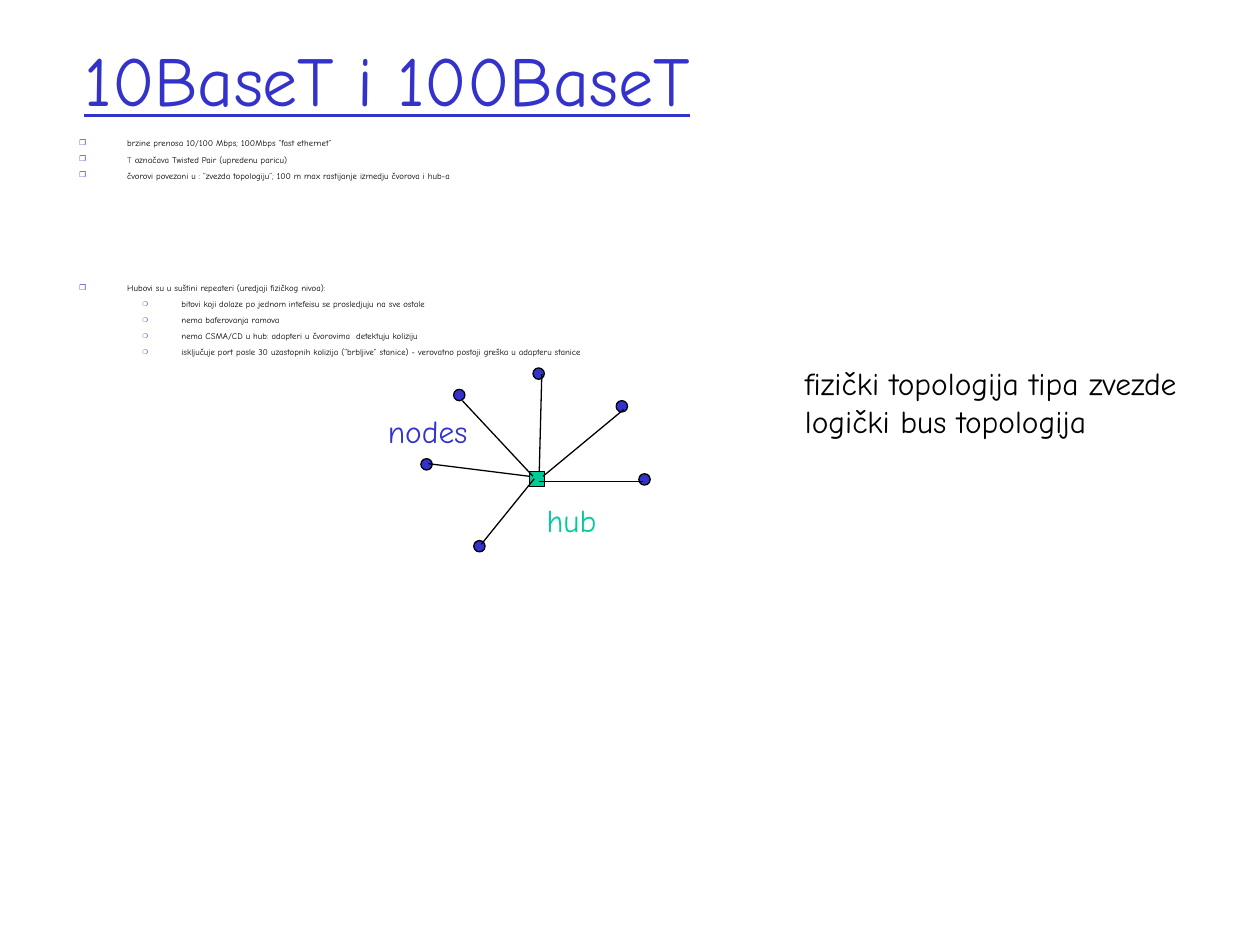
"""Build the 10BaseT and 100BaseT slide with its hub and star of nodes."""
import pptx
import pptx.dml.color
import pptx.enum.shapes
import pptx.enum.text
import pptx.oxml
import pptx.oxml.ns
import pptx.util
from pptx.util import Inches

FONT = "Comic Neue"
COLORS = {"blue": "3333CC", "green": "00CC99", "black": "000000"}
TITLE = "10BaseT i 100BaseT"
BULLETS = [
    (0, 5, [("brzine prenosa 10/100 Mbps; 100Mbps “fast ethernet”", "black")]),
    (0, 5, [("T ", "blue"), ("označava Twisted Pair (upredenu paricu)", "black")]),
    (0, 5, [("čvorovi povezani u : “zvezda topologiju”; 100 m max rastijanje izmedju čvorova i hub-a", "black")]),
    (0, 60, [("Hubovi su u suštini repeateri (uredjaji fizičkog nivoa):", "black")]),
    (1, 5, [("bitovi koji dolaze po jednom intefeisu se prosledjuju na sve ostale", "black")]),
    (1, 5, [("nema baferovanja ramova", "black")]),
    (1, 5, [("nema CSMA/CD u hub: adapteri u čvorovima  detektuju koliziju", "black")]),
    (1, 5, [("isključuje port posle 30 uzastopnih kolizija (“brbljive” stanice) - "
             "verovatno postoji greška u adapteru stanice", "black")]),
]
LEVELS = [
    {"margin": 0.38, "indent": -0.38, "symbol": "❒", "percent": 85},
    {"margin": 0.81, "indent": -0.31, "symbol": "❍", "percent": 75},
]
HUB = (4.2, 3.74, 0.12)
NODE_SIZE = 0.09
NODES = [
    {"corner": (3.6, 3.09), "cable": (3.67, 3.18, 4.23, 3.78)},
    {"corner": (3.34, 3.64), "cable": (3.4, 3.68, 4.2, 3.78)},
    {"corner": (3.76, 4.29), "cable": (3.82, 4.32, 4.24, 3.8)},
    {"corner": (4.89, 3.18), "cable": (4.95, 3.25, 4.31, 3.78)},
    {"corner": (4.23, 2.92), "cable": (4.3, 2.97, 4.28, 3.74)},
    {"corner": (5.07, 3.76), "cable": (5.1, 3.82, 4.28, 3.82)},
]
LABELS = [
    ("hub", "green", (4.24, 3.93, 0.64, 0.4)),
    ("nodes", "blue", (2.98, 3.22, 0.83, 0.4)),
    ("fizički topologija tipa zvezde\nlogički bus topologija", "black", (6.29, 2.84, 3.17, 0.7)),
]


def rgb(name):
    return pptx.dml.color.RGBColor.from_string(COLORS[name])


def format_run(run, size, color):
    run.font.name = FONT
    run.font.size = pptx.util.Pt(size)
    run.font.color.rgb = rgb(color)


def place(shape, left, top, width, height):
    shape.left, shape.top = Inches(left), Inches(top)
    shape.width, shape.height = Inches(width), Inches(height)


def add_bullet(paragraph, margin, indent, symbol, percent):
    properties = paragraph._p.get_or_add_pPr()
    properties.set("marL", str(Inches(margin)))
    properties.set("indent", str(Inches(indent)))
    namespace = pptx.oxml.ns.nsdecls("a")
    for element in (
        f'<a:buClr {namespace}><a:srgbClr val="{COLORS["blue"]}"/></a:buClr>',
        f'<a:buSzPct {namespace} val="{percent * 1000}"/>',
        f'<a:buChar {namespace} char="{symbol}"/>',
    ):
        properties.append(pptx.oxml.parse_xml(element))


def fill_title(title):
    place(title, 0.57, 0, 8.5, 1.25)
    frame = title.text_frame
    frame.text = TITLE
    frame.vertical_anchor = pptx.enum.text.MSO_ANCHOR.MIDDLE
    frame.paragraphs[0].alignment = pptx.enum.text.PP_ALIGN.LEFT
    run = frame.paragraphs[0].runs[0]
    format_run(run, 40, "blue")
    run.font.underline = True


def fill_body(body):
    place(body, 0.53, 1.07, 8.5, 2.54)
    frame = body.text_frame
    frame.auto_size = pptx.enum.text.MSO_AUTO_SIZE.NONE
    for index, (level, space, pieces) in enumerate(BULLETS):
        paragraph = frame.add_paragraph() if index else frame.paragraphs[0]
        paragraph.level = level
        paragraph.line_spacing = 0.7
        paragraph.space_before = pptx.util.Pt(space)
        add_bullet(paragraph, **LEVELS[level])
        for text, color in pieces:
            run = paragraph.add_run()
            run.text = text
            format_run(run, 5, color)


def add_device(shapes, kind, left, top, size, color):
    device = shapes.add_shape(kind, Inches(left), Inches(top), Inches(size), Inches(size))
    device.shadow.inherit = False
    device.fill.solid()
    device.fill.fore_color.rgb = rgb(color)
    device.line.color.rgb = rgb("black")
    device.line.width = pptx.util.Pt(0.75)


def add_cable(shapes, ends):
    cable = shapes.add_connector(
        pptx.enum.shapes.MSO_CONNECTOR.STRAIGHT, *map(Inches, ends))
    cable.line.color.rgb = rgb("black")
    cable.line.width = pptx.util.Pt(0.75)
    cable._element.spPr.append(
        pptx.oxml.parse_xml(f'<a:effectLst {pptx.oxml.ns.nsdecls("a")}/>'))


def add_label(shapes, text, color, box):
    frame = shapes.add_textbox(*map(Inches, box)).text_frame
    frame.text = text
    frame.word_wrap = False
    frame.auto_size = pptx.enum.text.MSO_AUTO_SIZE.NONE
    for paragraph in frame.paragraphs:
        paragraph.alignment = pptx.enum.text.PP_ALIGN.LEFT
        format_run(paragraph.runs[0], 18, color)


def main():
    presentation = pptx.Presentation()
    presentation.slide_width, presentation.slide_height = Inches(10), Inches(7.5)
    slide = presentation.slides.add_slide(presentation.slide_layouts[1])
    shapes = slide.shapes
    fill_title(shapes.title)
    fill_body(slide.placeholders[1])
    add_device(shapes, pptx.enum.shapes.MSO_SHAPE.RECTANGLE, *HUB, "green")
    for node in NODES:
        add_device(shapes, pptx.enum.shapes.MSO_SHAPE.OVAL, *node["corner"], NODE_SIZE, "blue")
    for node in NODES:
        add_cable(shapes, node["cable"])
    for label in LABELS:
        add_label(shapes, *label)
    presentation.save("out.pptx")


if __name__ == "__main__":
    main()
